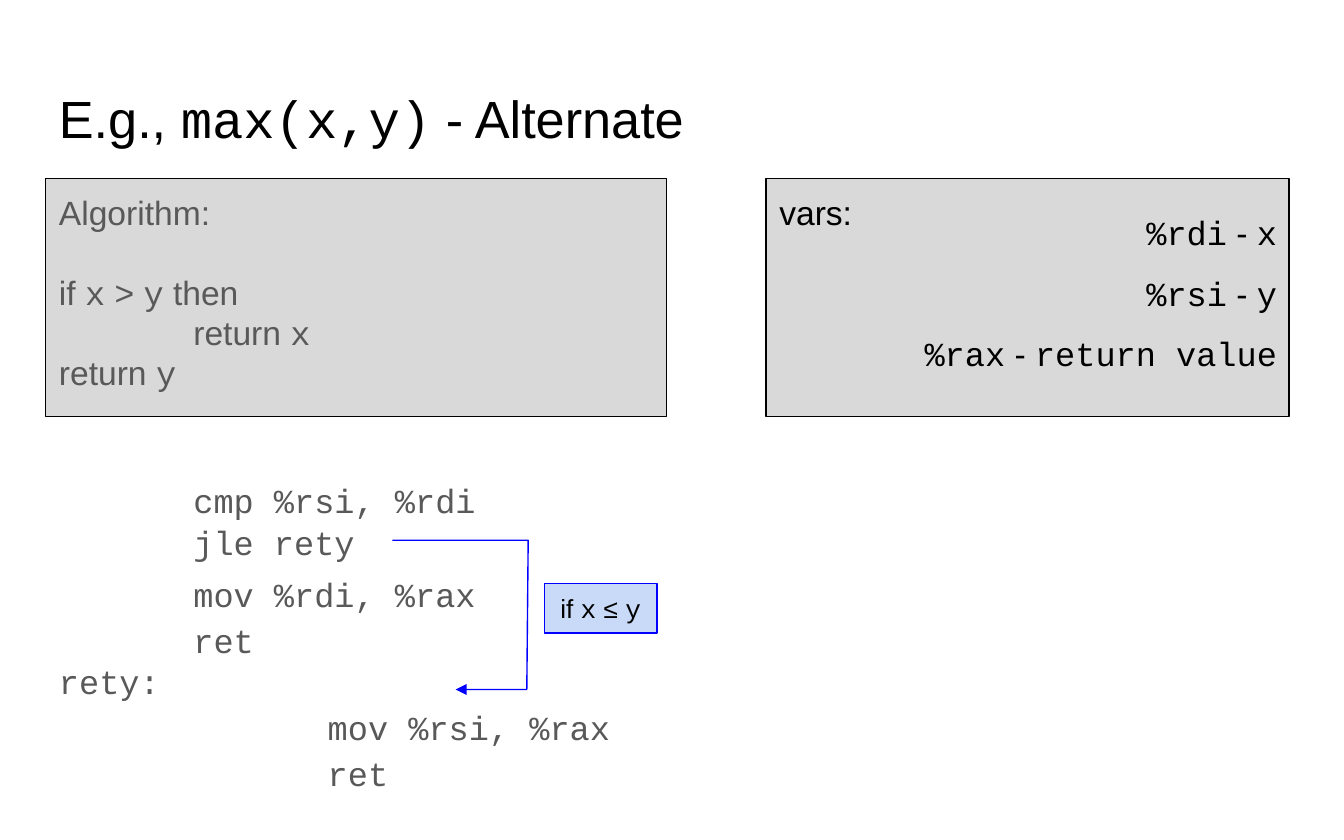
from dataclasses import dataclass

from pptx import Presentation
from pptx.dml.color import RGBColor as RGB
from pptx.enum.shapes import MSO_SHAPE as SHAPE
from pptx.enum.text import MSO_ANCHOR as ANCHOR, PP_ALIGN as ALIGN
from pptx.oxml.ns import qn
from pptx.util import Inches, Pt
from lxml import etree


@dataclass(frozen=True)
class Theme:
    sans: str = "Arial"
    mono: str = "Courier New"
    black: RGB = RGB(0, 0, 0)
    gray: RGB = RGB(0x59, 0x59, 0x59)
    panel: RGB = RGB(0xD9, 0xD9, 0xD9)
    blue: RGB = RGB(0, 0, 0xFF)
    pale_blue: RGB = RGB(0xC9, 0xDA, 0xF8)
    title: int = 28
    body: int = 18
    label: int = 14
    line: float = 0.75


T = Theme()

LEFT = 0.34
PANEL_TOP, PANEL_HEIGHT = 1.33, 1.77

# Text, indent in inches, space before in points
ALGORITHM = [
    ("Algorithm:", 0, 0),
    ("if `x` > `y` then", 0, 21),
    ("return `x`", 1, 0),
    ("return `y`", 0, 0),
]
VARIABLES = ["`%rdi` - `x`", "`%rsi` - `y`", "`%rax` - `return value`"]

# Instruction, indent in inches, line pitch in points
ASSEMBLY = [
    ("cmp %rsi, %rdi", 1, 26),
    ("jle rety", 1, 22.5),
    ("mov %rdi, %rax", 1, 28),
    ("ret", 1, 24.5),
    ("rety:", 0, 22),
    ("mov %rsi, %rax", 2, 24.5),
    ("ret", 2, 24.5),
]


def add_text(tf, text, size=T.body, color=T.black, align=ALIGN.LEFT,
             indent=0, before=0, spacing=1.0):
    """Add one paragraph; parts between backticks are set in the mono font."""
    p = tf.paragraphs[0]
    if p.runs:
        p = tf.add_paragraph()
    p.alignment = align
    p.space_before = Pt(before)
    p.line_spacing = spacing
    p._p.get_or_add_pPr().set("marL", str(Inches(indent)))
    for i, part in enumerate(text.split("`")):
        if part:
            r = p.add_run()
            r.text = part
            r.font.name = T.mono if i % 2 else T.sans
            r.font.size = Pt(size)
            r.font.color.rgb = color


def set_frame(sp, anchor=ANCHOR.TOP):
    tf = sp.text_frame
    tf.word_wrap = True
    tf.vertical_anchor = anchor
    tf.margin_left = tf.margin_right = Inches(0.1)
    tf.margin_top = tf.margin_bottom = Inches(0.1)
    return tf


def add_textbox(s, left, top, width, height):
    return set_frame(s.shapes.add_textbox(
        Inches(left), Inches(top), Inches(width), Inches(height)))


def add_box(s, left, top, width, height, fill=T.panel, line=T.black,
            anchor=ANCHOR.TOP):
    sp = s.shapes.add_shape(SHAPE.RECTANGLE, Inches(left), Inches(top),
                            Inches(width), Inches(height))
    sp.shadow.inherit = False
    sp.fill.solid()
    sp.fill.fore_color.rgb = fill
    sp.line.color.rgb = line
    sp.line.width = Pt(T.line)
    return set_frame(sp, anchor)


def add_jump_arrow(s, points):
    start, *rest = [(Inches(x), Inches(y)) for x, y in points]
    builder = s.shapes.build_freeform(*start)
    builder.add_line_segments(rest, close=False)
    sp = builder.convert_to_shape()
    sp.shadow.inherit = False
    sp.fill.background()
    sp.line.color.rgb = T.blue
    sp.line.width = Pt(T.line)
    ln = sp._element.spPr.find(qn("a:ln"))
    etree.SubElement(ln, qn("a:tailEnd"), type="triangle")


def main():
    prs = Presentation()
    prs.slide_width, prs.slide_height = Inches(10), Inches(6.25)
    s = prs.slides.add_slide(prs.slide_layouts[6])

    # Title
    tf = add_textbox(s, LEFT, 0.54, 9.32, 0.7)
    add_text(tf, "E.g., `max(x,y)` - Alternate", size=T.title)

    # Algorithm panel
    tf = add_box(s, LEFT, PANEL_TOP, 4.62, PANEL_HEIGHT)
    for text, indent, before in ALGORITHM:
        add_text(tf, text, color=T.gray, indent=indent, before=before)

    # Variables panel
    tf = add_box(s, 5.7, PANEL_TOP, 3.89, PANEL_HEIGHT)
    add_text(tf, "vars:")
    tf = add_textbox(s, 5.8, PANEL_TOP, 3.8, 0.96)
    for text in VARIABLES:
        add_text(tf, text, align=ALIGN.RIGHT, spacing=1.5)

    # Assembly code
    tf = add_textbox(s, LEFT, 3.41, 9.32, 2.09)
    for text, indent, pitch in ASSEMBLY:
        add_text(tf, f"`{text}`", color=T.gray, indent=indent,
                 spacing=Pt(pitch))

    # Jump from jle to rety
    add_jump_arrow(s, [(2.92, 4.02), (3.93, 4.02), (3.92, 5.13), (3.39, 5.13)])
    tf = add_box(s, 4.05, 4.34, 0.84, 0.37, fill=T.pale_blue, line=T.blue,
                 anchor=ANCHOR.MIDDLE)
    add_text(tf, "if `x` ≤ `y`", size=T.label, align=ALIGN.CENTER)

    prs.save("out.pptx")


if __name__ == "__main__":
    main()
